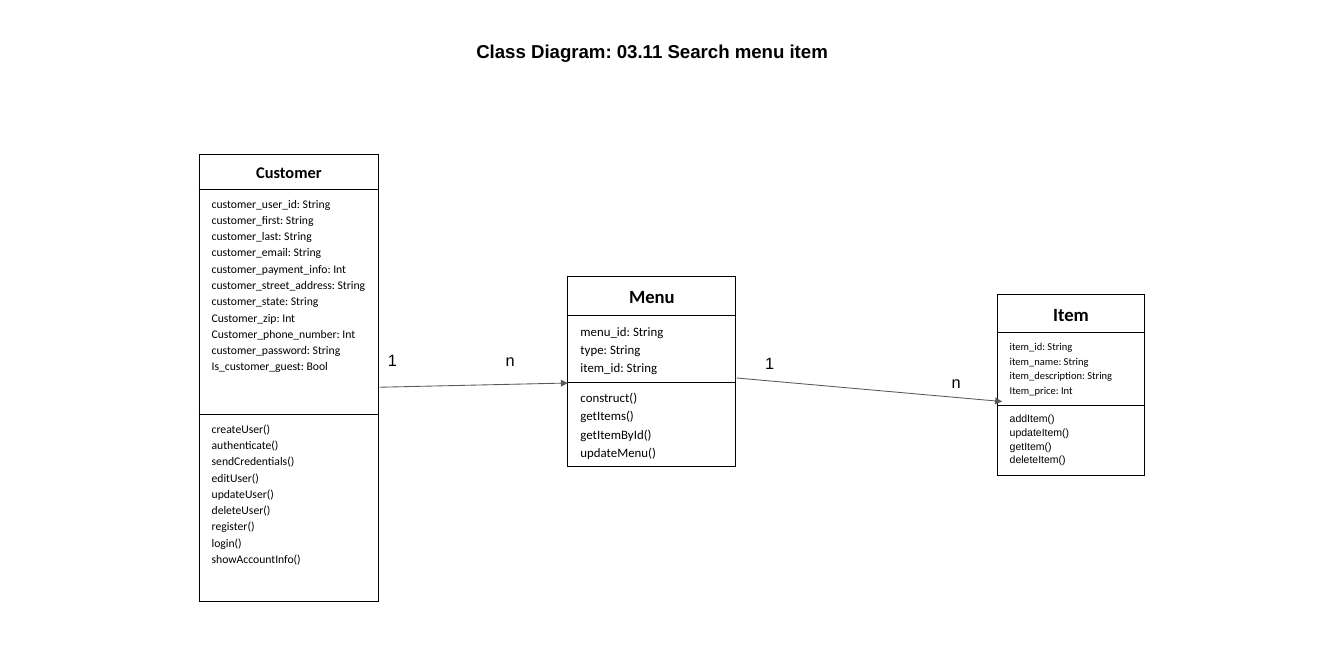
from lxml import etree
from pptx import Presentation
from pptx.dml.color import RGBColor
from pptx.enum.shapes import MSO_CONNECTOR
from pptx.enum.text import MSO_ANCHOR, MSO_AUTO_SIZE, PP_ALIGN
from pptx.oxml.ns import qn
from pptx.util import Inches, Pt

STRAIGHT = MSO_CONNECTOR.STRAIGHT
TOP = MSO_ANCHOR.TOP
NO_AUTOFIT = MSO_AUTO_SIZE.NONE
LEFT, CENTER = PP_ALIGN.LEFT, PP_ALIGN.CENTER
TITLE_ONLY = 5


def color(hex_string):
    return RGBColor.from_string(hex_string)


class ClassDiagram:
    """Holds the style and the current slide."""

    INK, ARROW = "000000", "595959"
    BODY_FONT, LABEL_FONT = "Calibri", "Arial"
    LINE_SPACING = 1.15

    def __init__(self, slide):
        self.slide = slide

    def font(self, paragraph, size, name, bold=False):
        font = paragraph.font
        font.size, font.name, font.bold = Pt(size), name, bold
        font.color.rgb = color(self.INK)

    def frame(self, shape, text, size, bold=False):
        frame = shape.text_frame
        frame.auto_size, frame.word_wrap = NO_AUTOFIT, True
        frame.vertical_anchor = TOP
        frame.margin_left = frame.margin_right = Inches(0.1)
        frame.margin_top = frame.margin_bottom = Inches(0.1)
        frame.text = text
        paragraph = frame.paragraphs[0]
        paragraph.alignment = LEFT
        self.font(paragraph, size, self.LABEL_FONT, bold)

    def title(self, text, left, top, width, height):
        title = self.slide.shapes.title
        title.left, title.top = Inches(left), Inches(top)
        title.width, title.height = Inches(width), Inches(height)
        self.frame(title, text, 16, bold=True)

    def multiplicity(self, text, left, top):
        label = self.slide.shapes.add_textbox(
            Inches(left), Inches(top), Inches(0.64), Inches(0.44))
        self.frame(label, text, 14)

    def borders(self, cell):
        properties = cell._tc.get_or_add_tcPr()
        for side in ("a:lnL", "a:lnR", "a:lnT", "a:lnB"):
            line = etree.SubElement(properties, qn(side), w=str(Pt(1)))
            fill = etree.SubElement(line, qn("a:solidFill"))
            etree.SubElement(fill, qn("a:srgbClr"), val=self.INK)

    def class_box(self, left, top, width, heights, sections, sizes, fonts):
        """Sections are the class name, its attributes and its methods."""
        table = self.slide.shapes.add_table(
            len(sections), 1, Inches(left), Inches(top),
            Inches(width), Inches(sum(heights))).table
        table.first_row = table.horz_banding = False
        rows = zip(heights, sections, sizes, fonts)
        for index, (height, lines, size, font) in enumerate(rows):
            table.rows[index].height = Inches(height)
            cell = table.cell(index, 0)
            self.borders(cell)
            cell.fill.background()
            cell.margin_left = cell.margin_right = Inches(0.15)
            cell.margin_top = cell.margin_bottom = Inches(0.07)
            cell.text = "\n".join(lines)
            is_name = index == 0
            for paragraph in cell.text_frame.paragraphs:
                paragraph.alignment = CENTER if is_name else LEFT
                paragraph.line_spacing = self.LINE_SPACING
                self.font(paragraph, size, font, bold=is_name)

    def association(self, *ends):
        arrow = self.slide.shapes.add_connector(STRAIGHT, *map(Inches, ends))
        arrow.line.color.rgb = color(self.ARROW)
        arrow.line.width = Pt(0.75)
        etree.SubElement(arrow.line._get_or_add_ln(), qn("a:tailEnd"), type="triangle")
        etree.SubElement(arrow._element.spPr, qn("a:effectLst"))


presentation = Presentation()
presentation.slide_width, presentation.slide_height = Inches(16), Inches(8)
diagram = ClassDiagram(
    presentation.slides.add_slide(presentation.slide_layouts[TITLE_ONLY]))
BODY, LABEL = diagram.BODY_FONT, diagram.LABEL_FONT

diagram.title("Class Diagram: 03.11 Search menu item", 5.57, 0.37, 4.46, 0.47)

# Classes
customer = (
    ["Customer"],
    ["customer_user_id: String", "customer_first: String",
     "customer_last: String", "customer_email: String",
     "customer_payment_info: Int", "customer_street_address: String",
     "customer_state: String", "Customer_zip: Int",
     "Customer_phone_number: Int", "customer_password: String",
     "Is_customer_guest: Bool"],
    ["createUser()", "authenticate()", "sendCredentials()", "editUser()",
     "updateUser()", "deleteUser()", "register()", "login()",
     "showAccountInfo()"],
)
menu = (
    ["Menu"],
    ["menu_id: String", "type: String", "item_id: String"],
    ["construct()", "getItems()", "getItemById()", "updateMenu()"],
)
item = (
    ["Item"],
    ["item_id: String", "item_name: String", "item_description: String",
     "Item_price: Int"],
    ["addItem()", "updateItem()", "getItem()", "deleteItem()"],
)
diagram.class_box(2.37, 1.84, 2.14, (0.41, 2.68, 2.23), customer,
                  (14, 10, 10), (BODY, BODY, BODY))
diagram.class_box(6.76, 3.29, 2, (0.47, 0.77, 0.99), menu,
                  (16, 11, 11), (BODY, BODY, BODY))
diagram.class_box(11.87, 3.51, 1.76, (0.45, 0.87, 0.83), item,
                  (16, 9, 9), (BODY, BODY, LABEL))

# Associations
diagram.association(4.52, 4.61, 6.76, 4.56)
diagram.association(8.77, 4.5, 11.93, 4.78)

# Multiplicities
for text, left, top in (("1", 4.52, 4.07), ("n", 5.92, 4.07),
                        ("1", 9.01, 4.11), ("n", 11.23, 4.33)):
    diagram.multiplicity(text, left, top)

presentation.save("out.pptx")
